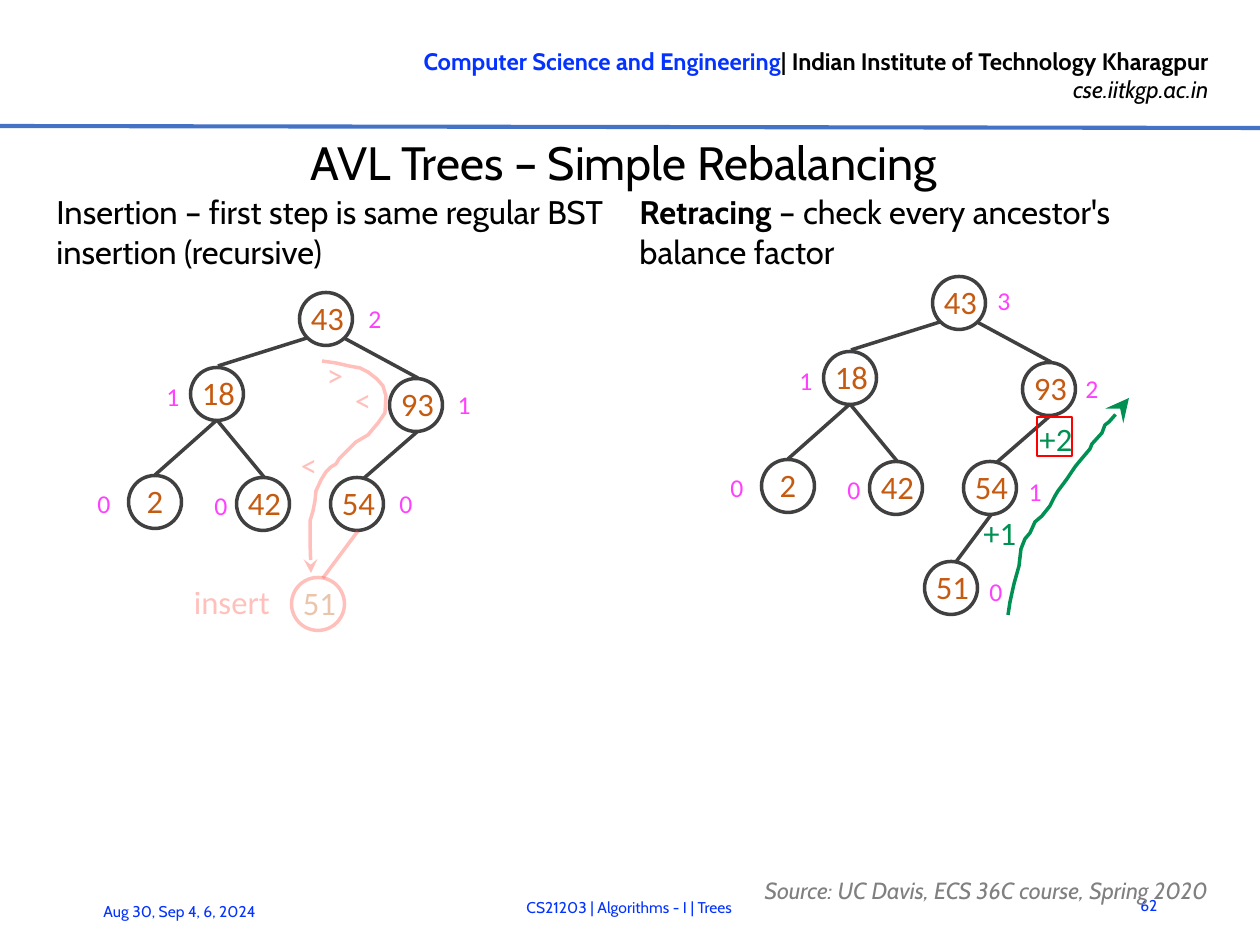
from dataclasses import dataclass

from lxml import etree
from pptx import Presentation
from pptx import util as u
from pptx.dml.color import RGBColor
from pptx.enum import shapes, text
from pptx.oxml.ns import qn

SCALE = 914400 / 168  # EMU in one px
BLACK, BLUE, INK, ROSE = "000000", "0432FF", "404040", "FF4C41"
RUST, PINK, GREEN, RED = "C55A11", "FF40FF", "009051", "FF0000"
FAINT = 35  # opacity of the new node and its path, in percent
ROUND = 53  # diameter of a node
LEFT, RIGHT = text.PP_ALIGN.LEFT, text.PP_ALIGN.RIGHT
MID = text.PP_ALIGN.CENTER


@dataclass
class Node:
    key: str
    x: int
    y: int
    new: bool = False


@dataclass
class Edge:
    x1: int
    y1: int
    x2: int
    y2: int
    new: bool = False


@dataclass
class Mark:
    label: str
    x: int
    y: int


@dataclass
class Trail:
    points: list[tuple[int, int]]
    hue: str
    alpha: int
    head: str


# Tree in the place of the left one; centres in px
NODES = [
    Node("43", 326, 319), Node("18", 217, 394), Node("93", 416, 405),
    Node("2", 155, 502), Node("54", 357, 504), Node("42", 263, 504),
    Node("51", 318, 604, True),
]
EDGES = [
    Edge(307, 338, 218, 366), Edge(344, 338, 418, 378),
    Edge(217, 420, 155, 475), Edge(217, 420, 264, 477),
    Edge(417, 432, 363, 479), Edge(358, 531, 323, 578, True),
]
HEIGHTS = [
    Mark("0", 104, 503), Mark("0", 221, 505), Mark("0", 406, 503),
    Mark("1", 173, 396), Mark("1", 464, 404), Mark("2", 375, 318),
    Mark("0", 737, 487), Mark("0", 854, 489), Mark("0", 996, 591),
    Mark("1", 806, 380), Mark("1", 1035, 491), Mark("2", 1092, 388),
    Mark("3", 1004, 300),
]
STEPS = [
    Mark(">", 335, 375), Mark("<", 363, 400), Mark("<", 309, 465),
    Mark("insert", 232, 602),
]
FACTORS = [Mark("+2", 1056, 438), Mark("+1", 1000, 533)]
DOWN = Trail([
    (322, 361), (336, 363), (349, 366), (360, 368), (368, 372), (377, 379),
    (383, 386), (386, 396), (385, 413), (378, 423), (368, 435), (356, 442),
    (348, 450), (339, 459), (336, 464), (331, 467), (326, 472), (321, 480),
    (316, 491), (315, 501), (313, 511), (310, 521), (310, 542), (311, 573),
], ROSE, FAINT, "med")
UP = Trail([
    (1008, 615), (1010, 602), (1014, 584), (1019, 566), (1021, 549),
    (1025, 539), (1030, 533), (1035, 522), (1042, 516), (1050, 506),
    (1055, 496), (1058, 491), (1067, 479), (1075, 467), (1079, 462),
    (1090, 449), (1092, 444), (1102, 433), (1105, 425), (1109, 422),
    (1117, 413), (1119, 408), (1129, 398),
], GREEN, 100, "lg")


def px(n: float) -> u.Emu:
    return u.Emu(round(n * SCALE))


def paint(fill, hue: str, alpha: int = 100) -> None:
    fill.solid()
    fill.fore_color.rgb = RGBColor.from_string(hue)
    if alpha < 100:
        tint = fill._xPr.find(qn("a:solidFill"))[0]
        etree.SubElement(tint, qn("a:alpha")).set("val", str(alpha * 1000))


def stroke(item, hue: str, width: float = 1.5, alpha: int = 100) -> None:
    item.line.width = u.Pt(width)
    paint(item.line.fill, hue, alpha)


def write(frame, words: str, *, size: float, hue: str = BLACK, face: str = "Cabin",
          bold: bool = False, ital: bool = False, align=LEFT, lead: float = 0,
          alpha: int = 100, fresh: bool = False) -> None:
    """Add a run to the last paragraph, or to a fresh one."""
    para = frame.add_paragraph() if fresh else frame.paragraphs[-1]
    para.alignment = align
    if lead:
        para.line_spacing = u.Pt(lead)
    run = para.add_run()
    run.text = words
    font = run.font
    font.name, font.size = face, u.Pt(size)
    font.bold, font.italic = bold, ital
    paint(font.fill, hue, alpha)


def box(x: int, y: int, w: int, h: int, mid: bool = True):
    frame = slide.shapes.add_textbox(px(x), px(y), px(w), px(h)).text_frame
    frame.word_wrap = True
    if mid:
        frame.vertical_anchor = text.MSO_ANCHOR.MIDDLE
    return frame


def outline(kind, x: float, y: float, w: int, h: int, hue: str,
            width: float = 1.5, alpha: int = 100):
    item = slide.shapes.add_shape(kind, px(x), px(y), px(w), px(h))
    item.shadow.inherit = False
    item.fill.background()
    stroke(item, hue, width, alpha)
    return item


def link(edge: Edge, hue: str, width: float = 1.5, alpha: int = 100) -> None:
    item = slide.shapes.add_connector(
        shapes.MSO_CONNECTOR.STRAIGHT,
        px(edge.x1), px(edge.y1), px(edge.x2), px(edge.y2))
    stroke(item, hue, width, alpha)
    etree.SubElement(item._element.spPr, qn("a:effectLst"))


def tree(dx: int, dy: int, faint: bool) -> None:
    for node in NODES:
        pale = faint and node.new
        alpha = FAINT if pale else 100
        ring = outline(shapes.MSO_SHAPE.OVAL, node.x + dx - ROUND / 2,
                       node.y + dy - ROUND / 2, ROUND, ROUND,
                       ROSE if pale else INK, alpha=alpha)
        frame = ring.text_frame
        frame.word_wrap = False
        frame.vertical_anchor = text.MSO_ANCHOR.MIDDLE
        frame.margin_left = px(3 * (len(node.key) - 1))
        frame.margin_right = frame.margin_top = 0
        frame.margin_bottom = px(3)
        write(frame, node.key, size=14, hue=RUST, face="Calibri", align=MID, alpha=alpha)
    for edge in EDGES:
        pale = faint and edge.new
        link(Edge(edge.x1 + dx, edge.y1 + dy, edge.x2 + dx, edge.y2 + dy),
             ROSE if pale else INK, alpha=FAINT if pale else 100)


def marks(items: list[Mark], size: int, hue: str, alpha: int = 100) -> None:
    for item in items:
        w, h = 40 + 20 * len(item.label), 54
        frame = box(item.x - w // 2, item.y - h // 2, w, h)
        frame.word_wrap = False
        write(frame, item.label, size=size, hue=hue, face="Calibri", align=MID, alpha=alpha)


def draw(trail: Trail) -> None:
    pen = slide.shapes.build_freeform(*trail.points[0], scale=SCALE)
    pen.add_line_segments(trail.points[1:], close=False)
    item = pen.convert_to_shape()
    item.shadow.inherit = False
    item.fill.background()
    stroke(item, trail.hue, alpha=trail.alpha)
    etree.SubElement(item.line._get_or_add_ln(), qn("a:tailEnd"),
                     type="stealth", w=trail.head, len=trail.head)


deck = Presentation()
deck.slide_width, deck.slide_height = px(1260), px(945)
slide = deck.slides.add_slide(deck.slide_layouts[5])

# Header
head = box(319, 38, 906, 74, mid=False)
write(head, "Computer Science and Engineering", size=10.2, hue=BLUE, bold=True, align=RIGHT)
write(head, "| Indian Institute of Technology Kharagpur", size=10.2, bold=True, align=RIGHT)
write(head, "cse.iitkgp.ac.in", size=10.2, ital=True, align=RIGHT, fresh=True)
link(Edge(0, 126, 1260, 128), "4472C4", 1.75)

# Title
title = slide.shapes.title
title.left, title.top, title.width, title.height = px(41), px(132), px(1166), px(57)
name = title.text_frame
name.auto_size = text.MSO_AUTO_SIZE.NONE
name.vertical_anchor = text.MSO_ANCHOR.MIDDLE
name.margin_left = name.margin_right = name.margin_bottom = 0
name.margin_top = px(2)
write(name, "AVL Trees – Simple Rebalancing", size=20, align=MID)

# Lead text of the two halves
write(box(40, 183, 590, 91, mid=False),
      "Insertion – first step is same regular BST insertion (recursive)", size=14, lead=17)
trace = box(623, 183, 590, 91, mid=False)
write(trace, "Retracing", size=14, bold=True, lead=17)
write(trace, " – check every ancestor's balance factor", size=14, lead=17)

# Trees, paths and labels
tree(0, 0, faint=True)
tree(633, -16, faint=False)
draw(DOWN)
draw(UP)
marks(STEPS, 14, ROSE, FAINT)
marks(HEIGHTS, 11, PINK)
marks(FACTORS, 14, GREEN)
outline(shapes.MSO_SHAPE.RECTANGLE, 1037, 417, 35, 39, RED, 1)

# Footer
write(box(87, 886, 220, 50), "Aug 30, Sep 4, 6, 2024", size=6.7, hue=BLUE)
write(box(1112, 880, 62, 50), "62", size=6.7, hue=BLUE, align=RIGHT)
write(box(748, 869, 507, 29), "Source: UC Davis, ECS 36C course, Spring 2020",
      size=10, hue="808080", ital=True, lead=18)
write(box(208, 882, 843, 50), "CS21203 | Algorithms - I | Trees", size=6.7, hue=BLUE, align=MID)

deck.save("out.pptx")
